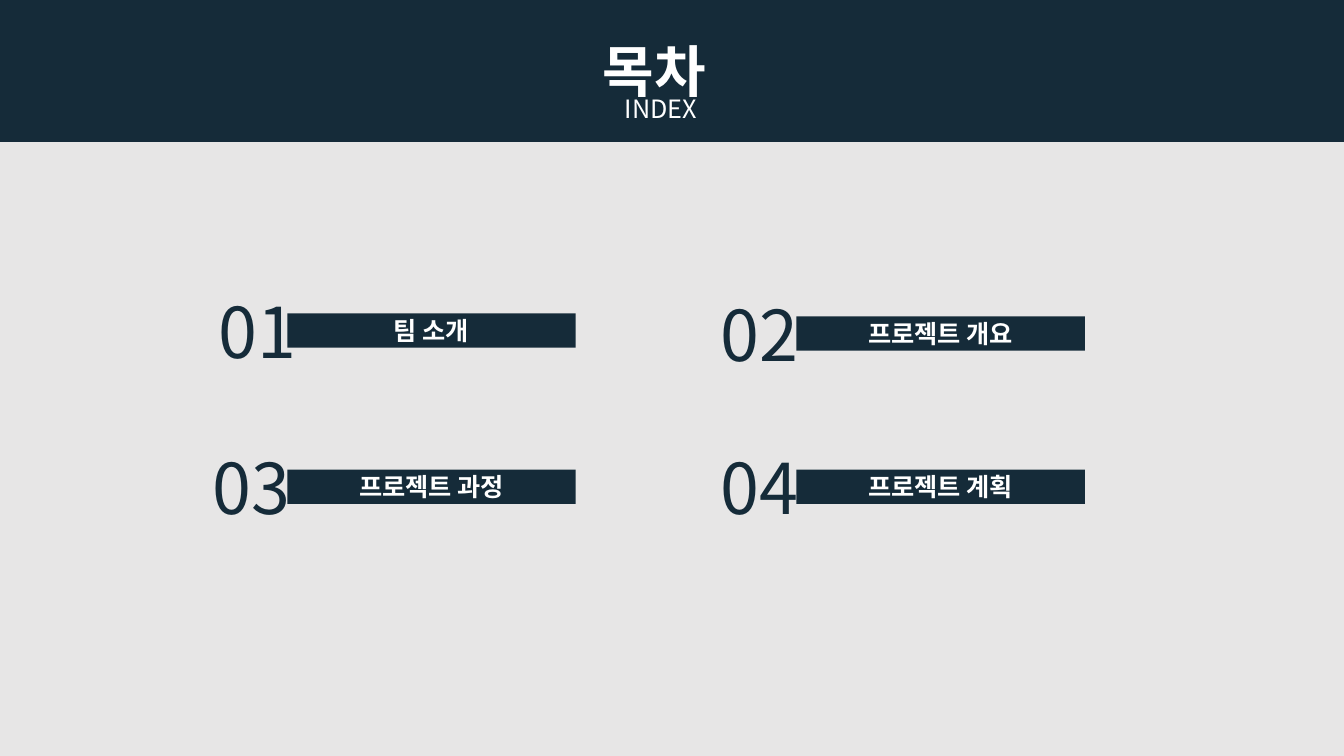
from lxml.etree import SubElement
from pptx import Presentation
from pptx.dml.color import RGBColor
from pptx.enum.shapes import MSO_SHAPE as Shape
from pptx.enum.text import MSO_ANCHOR as Anchor, MSO_AUTO_SIZE as AutoSize, PP_ALIGN as Align
from pptx.oxml.ns import qn
from pptx.util import Inches, Pt

FONT = "Noto Sans CJK KR"
COLORS = {"navy": "152B39", "gray": "E7E6E6", "white": "FFFFFF"}
BAR_SIZE = (2.86, 0.34)
NUMBER_RISE = 0.3  # number box starts this far above its bar

# number, title, number left, bar left, bar top
ENTRIES = [
    ("01", "팀 소개", 2.07, 2.85, 3.11),
    ("03", "프로젝트 과정", 2.01, 2.85, 4.66),
    ("02", "프로젝트 개요", 7.05, 7.9, 3.14),
    ("04", "프로젝트 계획", 7.05, 7.9, 4.66),
]


def color(name):
    return RGBColor.from_string(COLORS[name])


def write(shape, text, size=18, fill="white", bold=False, align=Align.LEFT):
    """Put one formatted line of text into a shape."""
    para = shape.text_frame.paragraphs[0]
    para.alignment = align
    span = para.add_run()
    span.text = text
    span.font.size = Pt(size)
    span.font.bold = bold
    span.font.name = FONT
    span.font.color.rgb = color(fill)
    # Hangul takes its typeface from the East Asian slot
    SubElement(span.font._element, qn("a:ea"), typeface=FONT)


def add_rectangle(page, left, top, width, height, fill):
    box = page.shapes.add_shape(
        Shape.RECTANGLE, Inches(left), Inches(top), Inches(width), Inches(height))
    box.shadow.inherit = False
    box.fill.solid()
    box.fill.fore_color.rgb = color(fill)
    box.line.fill.background()
    return box


def add_label(page, text, left, top, width, height, wrap=True, **text_format):
    box = page.shapes.add_textbox(
        Inches(left), Inches(top), Inches(width), Inches(height))
    box.text_frame.word_wrap = wrap
    box.text_frame.auto_size = AutoSize.SHAPE_TO_FIT_TEXT
    write(box, text, **text_format)


def add_entry(page, number, title, number_left, bar_left, bar_top):
    add_label(page, number, number_left, bar_top - NUMBER_RISE, 0.97, 0.94,
              wrap=False, size=50, fill="navy")
    bar = add_rectangle(page, bar_left, bar_top, *BAR_SIZE, "navy")
    bar.text_frame.vertical_anchor = Anchor.MIDDLE
    write(bar, title, bold=True, align=Align.CENTER)


def main():
    deck = Presentation()
    deck.slide_width, deck.slide_height = Inches(13.33), Inches(7.5)
    page = deck.slides.add_slide(deck.slide_layouts[6])
    page.background.fill.solid()
    page.background.fill.fore_color.rgb = color("navy")

    add_rectangle(page, 0, 1.41, 13.33, 6.09, "gray")
    for entry in ENTRIES:
        add_entry(page, *entry)
    add_label(page, "목차", 5.88, 0.31, 1.56, 0.77, size=40, bold=True)
    add_label(page, "INDEX", 6.1, 0.88, 0.97, 0.4)

    deck.save("out.pptx")


if __name__ == "__main__":
    main()
